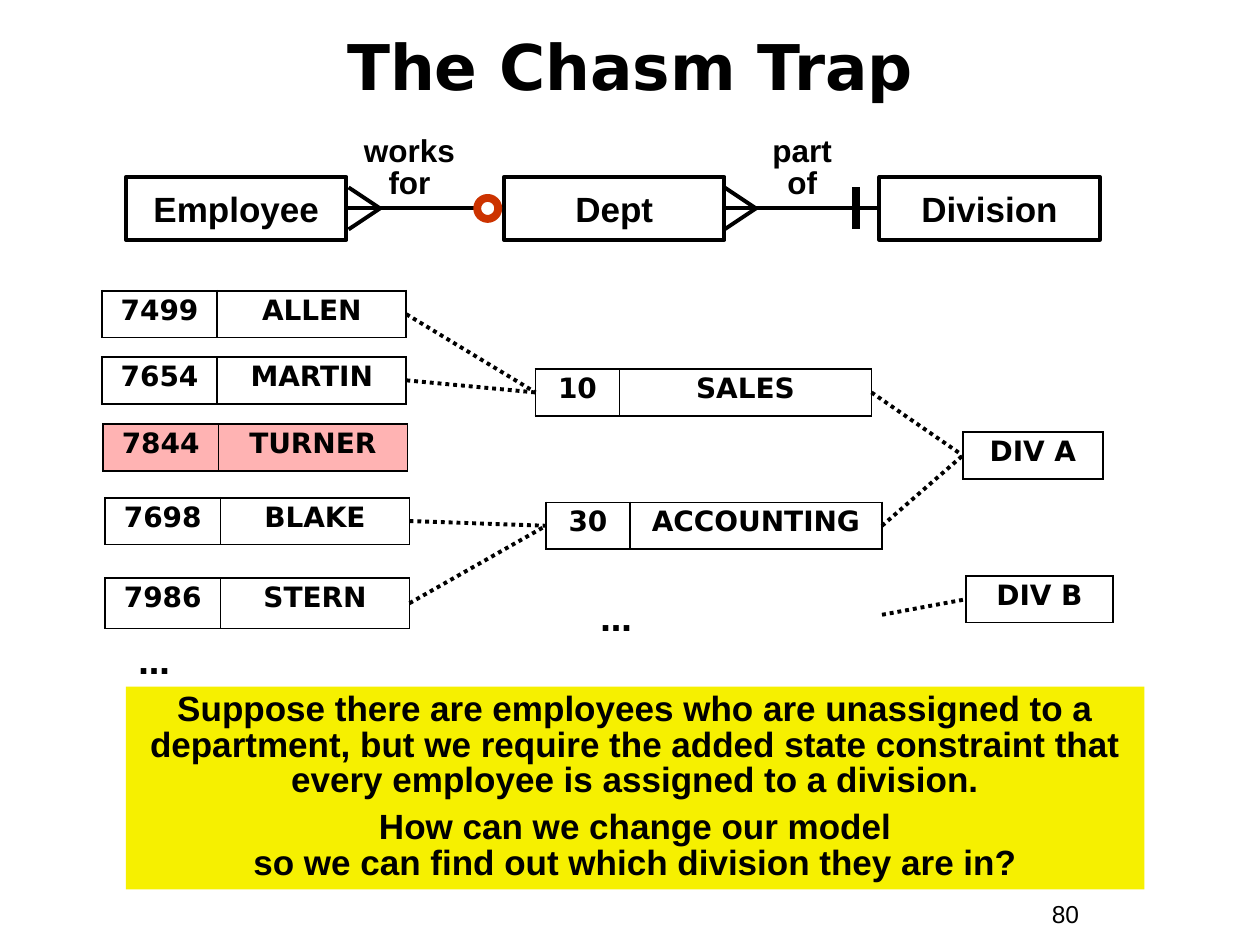
"""Build the Chasm Trap slide on a grid of 120 columns by 90 rows."""
from dataclasses import dataclass
from typing import Optional

from lxml import etree
from pptx import Presentation
from pptx import util as u
from pptx.dml.color import RGBColor
from pptx.enum import dml, shapes, text
from pptx.oxml.ns import qn

CELL = 1 / 12
BLACK, RED, YELLOW, PINK = "000000", "CC3300", "F6F000", "FFB3B3"
SANS, WIDE = "Arial", "DejaVu Sans"
CENTER, LEFT = text.PP_ALIGN.CENTER, text.PP_ALIGN.LEFT
MID = 19.85


@dataclass
class Record:
    """A one-row table, placed in grid units."""
    col: float
    row: float
    widths: tuple
    values: tuple
    height: float = 4.45
    fill: Optional[str] = None

    @property
    def left(self) -> tuple:
        """Middle of the left side."""
        return self.col, self.row + self.height / 2

    @property
    def right(self) -> tuple:
        """Middle of the right side."""
        return self.col + sum(self.widths), self.row + self.height / 2


def g(n: float) -> int:
    """Turn grid units into a length."""
    return u.Inches(n * CELL)


def rgb(value: str) -> RGBColor:
    """Turn a hex string into a colour."""
    return RGBColor.from_string(value)


def write(tf, paragraphs, size, font=SANS, bold=True, align=CENTER, spacing=None, gap=0):
    """Fill a text frame with paragraphs of one style."""
    for i, content in enumerate(paragraphs):
        p = tf.add_paragraph() if i else tf.paragraphs[0]
        p.text, p.alignment = content, align
        if spacing:
            p.line_spacing = spacing
        if i:
            p.space_before = u.Pt(gap)
        p.font.size, p.font.name, p.font.bold = u.Pt(size), font, bold
        p.font.color.rgb = rgb(BLACK)


def label(s, box, content, size, middle=False, **style):
    """Add a text box."""
    tf = s.shapes.add_textbox(*map(g, box)).text_frame
    tf.word_wrap = True
    if middle:
        tf.vertical_anchor = text.MSO_ANCHOR.MIDDLE
    write(tf, [content], size, **style)


def shape(s, kind, box, fill=None, line=None, width=2.25):
    """Add a preset shape without a shadow."""
    sp = s.shapes.add_shape(kind, *map(g, box))
    sp.shadow.inherit = False
    if fill:
        sp.fill.solid()
        sp.fill.fore_color.rgb = rgb(fill)
    else:
        sp.fill.background()
    if line:
        sp.line.color.rgb, sp.line.width = rgb(line), u.Pt(width)
    else:
        sp.line.fill.background()
    return sp


def link(s, start, end, width=2.25, dotted=False):
    """Draw a straight line between two grid points."""
    c = s.shapes.add_connector(shapes.MSO_CONNECTOR.STRAIGHT, *map(g, start + end))
    c.line.color.rgb, c.line.width = rgb(BLACK), u.Pt(width)
    if dotted:
        c.line.dash_style = dml.MSO_LINE.ROUND_DOT
    etree.SubElement(c._element.spPr, qn("a:effectLst"))
    return c


def crow_foot(s, col):
    """Draw the two outer toes of a many-end."""
    for toe in (-2, 2):
        link(s, (col + 3, MID), (col, MID + toe))


def entity(s, col, name):
    """Add an entity box."""
    sp = shape(s, shapes.MSO_SHAPE.RECTANGLE, (col, 16.85, 21, 6), line=BLACK)
    sp.text_frame.word_wrap = False
    sp.text_frame.vertical_anchor = text.MSO_ANCHOR.MIDDLE
    write(sp.text_frame, [name], 20)
    return sp


def border(cell):
    """Give a table cell thin black sides."""
    pr = cell._tc.get_or_add_tcPr()
    for i, side in enumerate(("lnL", "lnR", "lnT", "lnB")):
        ln = etree.Element(qn(f"a:{side}"), w=str(u.Pt(1.08)))
        etree.SubElement(etree.SubElement(ln, qn("a:solidFill")), qn("a:srgbClr"), val=BLACK)
        pr.insert(i, ln)


def draw_record(s, rec: Record):
    """Add a record as a one-row table."""
    box = (rec.col, rec.row, sum(rec.widths), rec.height)
    table = s.shapes.add_table(1, len(rec.values), *map(g, box)).table
    table.first_row = table.horz_banding = False
    table.rows[0].height = g(rec.height)
    for i, (width, value) in enumerate(zip(rec.widths, rec.values)):
        table.columns[i].width = g(width)
        cell = table.cell(0, i)
        if rec.fill:
            cell.fill.solid()
            cell.fill.fore_color.rgb = rgb(rec.fill)
        else:
            cell.fill.background()
        border(cell)
        write(cell.text_frame, [value], 16, font=WIDE, spacing=0.9)


def draw_model(s):
    """Draw the entities and their relationships."""
    employee, dept, division = (
        entity(s, col, name)
        for col, name in ((12, "Employee"), (48, "Dept"), (83.75, "Division")))
    for col, name in ((29, "works\nfor"), (66.4, "part\nof")):
        label(s, (col, 12.45, 20, 7.3), name, 18, spacing=0.85)
    link(s, (33, MID), (45.1, MID)).begin_connect(employee, 3)
    part_of = link(s, (83.75, MID), (69, MID))
    part_of.begin_connect(division, 1)
    part_of.end_connect(dept, 3)
    crow_foot(s, 33.2)
    crow_foot(s, 69)
    shape(s, shapes.MSO_SHAPE.OVAL, (45.45, 18.85, 2, 2), line=RED, width=4.5)
    link(s, (81.5, MID - 2), (81.5, MID + 2), width=4.5)


def draw_instances(s):
    """Draw the sample records and the links between them."""
    staff, unit = (11, 18), (8, 24)
    allen = Record(9.7, 27.7, staff, ("7499", "ALLEN"))
    martin = Record(9.7, 34, staff, ("7654", "MARTIN"))
    turner = Record(9.8, 40.4, staff, ("7844", "TURNER"), fill=PINK)
    blake = Record(10, 47.4, staff, ("7698", "BLAKE"))
    stern = Record(10, 55.05, staff, ("7986", "STERN"), height=4.8)
    sales = Record(51, 35.15, unit, ("10", "SALES"))
    accounting = Record(52, 47.85, unit, ("30", "ACCOUNTING"))
    div_a = Record(91.7, 41.15, (13.35,), ("DIV A",))
    div_b = Record(92, 54.85, (14,), ("DIV B",))
    for rec in (allen, martin, turner, blake, stern, sales, accounting, div_a, div_b):
        draw_record(s, rec)
    for child, parent in ((allen, sales), (martin, sales), (blake, accounting),
                          (stern, accounting), (sales, div_a), (accounting, div_a)):
        link(s, child.right, parent.left, dotted=True)
    link(s, (84, 58.55), div_b.left, dotted=True)
    for col, row in ((56, 57), (12, 61.05)):
        label(s, (col, row, 22, 4.4), "…", 18, font=WIDE, align=LEFT, spacing=0.9)


def main():
    """Build and save the slide."""
    prs = Presentation()
    prs.slide_width, prs.slide_height = g(120), g(90)
    s = prs.slides.add_slide(prs.slide_layouts[6])
    label(s, (4, 1.2, 112, 10), "The Chasm Trap", 36, middle=True, font=WIDE)
    draw_model(s)
    draw_instances(s)
    question = shape(s, shapes.MSO_SHAPE.RECTANGLE, (12, 65.4, 97, 19.3), fill=YELLOW)
    question.text_frame.word_wrap = True
    question.text_frame.vertical_anchor = text.MSO_ANCHOR.TOP
    write(question.text_frame, [
        "Suppose there are employees who are unassigned to a department, but we require "
        "the added state constraint that every employee is assigned to a division.",
        "How can we change our model\nso we can find out which division they are in?",
    ], 20, spacing=0.85, gap=6.2)
    label(s, (99, 85, 11, 4), "80", 14, bold=False, align=LEFT)
    prs.save("out.pptx")


if __name__ == "__main__":
    main()
